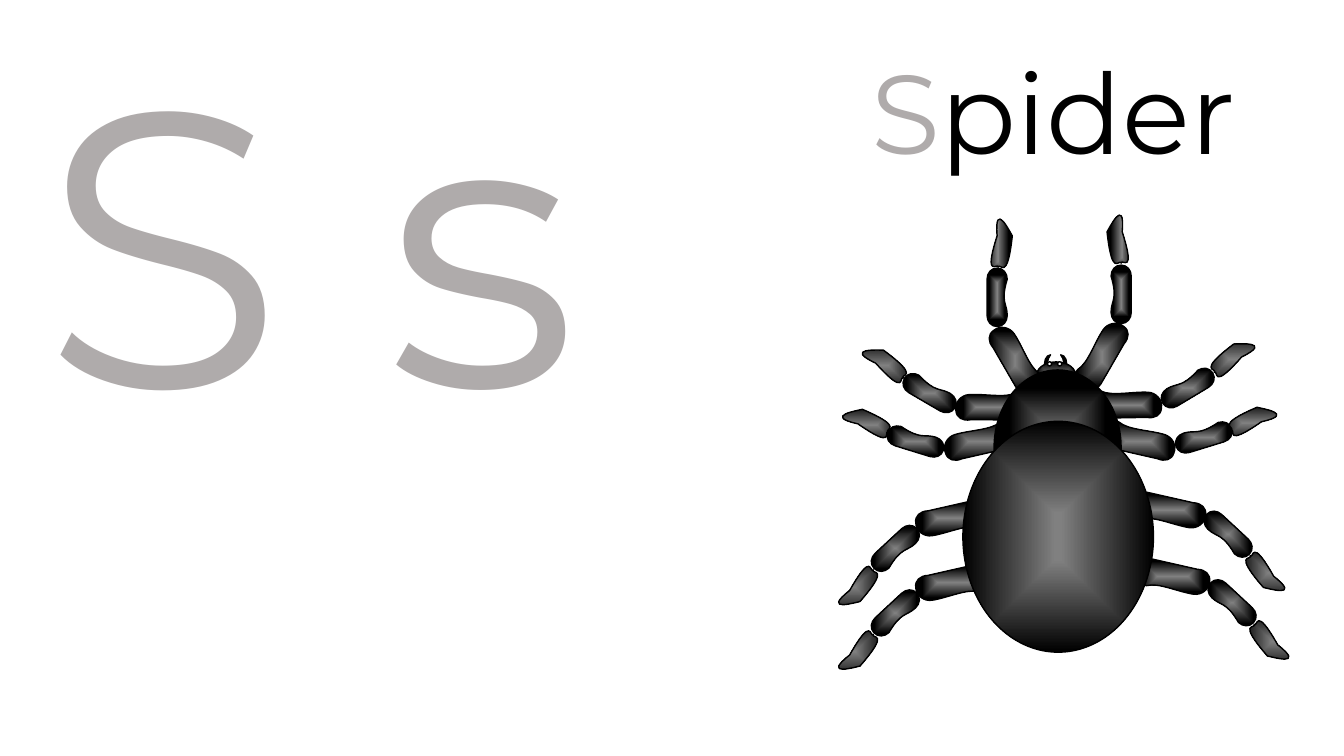
import math
from dataclasses import dataclass

from lxml import etree
from pptx import Presentation
from pptx import util as u
from pptx.dml.color import RGBColor
from pptx.enum import shapes, text
from pptx.oxml import ns


@dataclass(frozen=True)
class Theme:
    font: str = "Montserrat"
    faded: str = "AFABAB"
    ink: str = "000000"
    sheen: str = "808080"
    eye: str = "FFFFFF"
    letter_size: int = 280
    word_size: int = 80
    line: float = 1


THEME = Theme()
COLUMNS, ROWS = 13.33, 7.5
CELL = u.Inches(1)

THIGH = (
    (-0.11, -0.23),
    (-0.12, -0.31), (-0.08, -0.37), (-0.01, -0.37),
    (0.07, -0.38), (0.14, -0.31), (0.14, -0.23),
    (0.14, -0.07), (0.08, 0.13), (0.13, 0.24),
    (0.14, 0.32), (0.08, 0.37), (0, 0.38),
    (-0.08, 0.38), (-0.14, 0.31), (-0.14, 0.23),
)
SHIN = (
    (-0.1, -0.18),
    (-0.1, -0.24), (-0.06, -0.29), (0, -0.29),
    (0.06, -0.29), (0.1, -0.24), (0.1, -0.18),
    (0.03, 0.05), (0.1, 0.06), (0.1, 0.18),
    (0.1, 0.24), (0.06, 0.29), (0, 0.29),
    (-0.06, 0.29), (-0.1, 0.24), (-0.1, 0.18),
)
CLAW = (
    (-0.05, -0.08),
    (-0.08, -0.44), (0.08, -0.11), (0.1, -0.08),
    (0.05, 0.39), (-0.02, 0.18), (-0.04, 0.23),
    (-0.04, 0.18), (-0.19, 0.36), (-0.05, -0.08),
)

LEGS = (
    (False, (326.2, 0, 0), ((10.07, 3.58), (9.89, 2.95), (9.94, 2.42))),
    (True, (33.8, 0, 0), ((10.93, 3.54), (11.12, 2.92), (11.08, 2.38))),
    (True, (92.8, 59, 59), ((11.15, 4.02), (11.78, 3.85), (12.22, 3.54))),
    (False, (266.4, 300.3, 300.3), ((9.85, 4.04), (9.22, 3.9), (8.78, 3.6))),
    (False, (253.4, 287.2, 287.2), ((9.73, 4.38), (9.08, 4.38), (8.6, 4.18))),
    (True, (106.6, 72.8, 72.8), ((11.29, 4.38), (11.94, 4.34), (12.42, 4.16))),
    (False, (99.1, 132.9, 132.9), ((11.63, 5.72), (12.22, 5.98), (12.58, 6.38))),
    (True, (260.9, 227.1, 227.1), ((9.45, 5.78), (8.88, 6.08), (8.52, 6.48))),
    (True, (260.9, 227.1, 227.1), ((9.45, 5.14), (8.88, 5.44), (8.52, 5.84))),
    (False, (99.1, 132.9, 132.9), ((11.59, 5.06), (12.18, 5.3), (12.54, 5.7))),
)


def cells(*lengths):
    return [round(length * CELL) for length in lengths]


def paint(part, color):
    part.shadow.inherit = False
    part.fill.solid()
    part.fill.fore_color.rgb = RGBColor.from_string(color)
    part.line.color.rgb = RGBColor.from_string(THEME.ink)
    part.line.width = u.Pt(THEME.line)


def add_sheen(part, start, end):
    paint(part, THEME.ink)
    solid = part._element.spPr.find(ns.qn("a:solidFill"))
    gradient = etree.Element(ns.qn("a:gradFill"), rotWithShape="1")
    stops = etree.SubElement(gradient, ns.qn("a:gsLst"))
    for position, color in ((start, THEME.sheen), (end, THEME.ink)):
        stop = etree.SubElement(stops, ns.qn("a:gs"), pos=str(position * 1000))
        etree.SubElement(stop, ns.qn("a:srgbClr"), val=color)
    glow = etree.SubElement(gradient, ns.qn("a:path"), path="shape")
    etree.SubElement(glow, ns.qn("a:fillToRect"),
                     dict.fromkeys("ltrb", "50000"))
    solid.getparent().replace(solid, gradient)


def add_words(canvas, box, size, runs):
    frame = canvas.add_textbox(*cells(*box)).text_frame
    frame.word_wrap = True
    frame.auto_size = text.MSO_AUTO_SIZE.SHAPE_TO_FIT_TEXT
    for wording, color in runs:
        run = frame.paragraphs[0].add_run()
        run.text = wording
        run.font.name = THEME.font
        run.font.size = u.Pt(size)
        run.font.color.rgb = RGBColor.from_string(color)


def add_oval(canvas, box, color):
    oval = canvas.add_shape(shapes.MSO_SHAPE.OVAL, *cells(*box))
    paint(oval, color)
    return oval


def round_edges(segment):
    edges = list(segment._element.iter(ns.qn("a:lnTo")))
    for first in range(0, len(edges) - 2, 3):
        curve = etree.Element(ns.qn("a:cubicBezTo"))
        edges[first].addprevious(curve)
        for edge in edges[first:first + 3]:
            curve.append(edge[0])
            edge.getparent().remove(edge)


def add_segment(canvas, points, angle, x, y):
    middle_x, middle_y = ((min(axis) + max(axis)) / 2 for axis in zip(*points))
    sine, cosine = math.sin(math.radians(angle)), math.cos(math.radians(angle))
    x += middle_x * cosine - middle_y * sine - middle_x
    y += middle_x * sine + middle_y * cosine - middle_y
    corners = [cells(x + dx, y + dy) for dx, dy in points]
    builder = canvas.build_freeform(*corners[0])
    builder.add_line_segments(corners[1:], close=True)
    segment = builder.convert_to_shape()
    round_edges(segment)
    segment.rotation = angle
    add_sheen(segment, 0, 76)


def add_leg(canvas, mirrored, angles, centers):
    side = -1 if mirrored else 1
    for outline, angle, center in zip((THIGH, SHIN, CLAW), angles, centers):
        add_segment(canvas, [(side * dx, dy) for dx, dy in outline],
                    angle, *center)


def add_spider(canvas):
    for left, angle in ((10.36, 0), (10.52, 180)):
        fang = canvas.add_shape(shapes.MSO_SHAPE.MOON,
                                *cells(left, 3.52, 0.06, 0.18))
        fang.rotation = angle
        paint(fang, THEME.ink)
    head = add_oval(canvas, (10.28, 3.59, 0.39, 0.27), THEME.ink)
    add_sheen(head, 0, 100)
    for leg in LEGS:
        add_leg(canvas, *leg)
    thorax = add_oval(canvas, (9.86, 3.67, 1.26, 1.53), THEME.ink)
    add_sheen(thorax, 0, 76)
    abdomen = add_oval(canvas, (9.55, 4.18, 1.89, 2.29), THEME.ink)
    add_sheen(abdomen, 3, 100)
    for left in (10.39, 10.49):
        add_oval(canvas, (left, 3.59, 0.04, 0.04), THEME.eye)


def main():
    deck = Presentation()
    deck.slide_width, deck.slide_height = cells(COLUMNS, ROWS)
    slide = deck.slides.add_slide(deck.slide_layouts[6])
    add_words(slide.shapes, (0.32, -0.08, 7.93, 4.98), THEME.letter_size,
              [("S s", THEME.faded)])
    card = slide.shapes.add_group_shape().shapes
    add_words(card, (8.55, 0.37, 5.06, 1.64), THEME.word_size,
              [("S", THEME.faded), ("pider", THEME.ink)])
    add_spider(card)
    deck.save("out.pptx")


if __name__ == "__main__":
    main()
